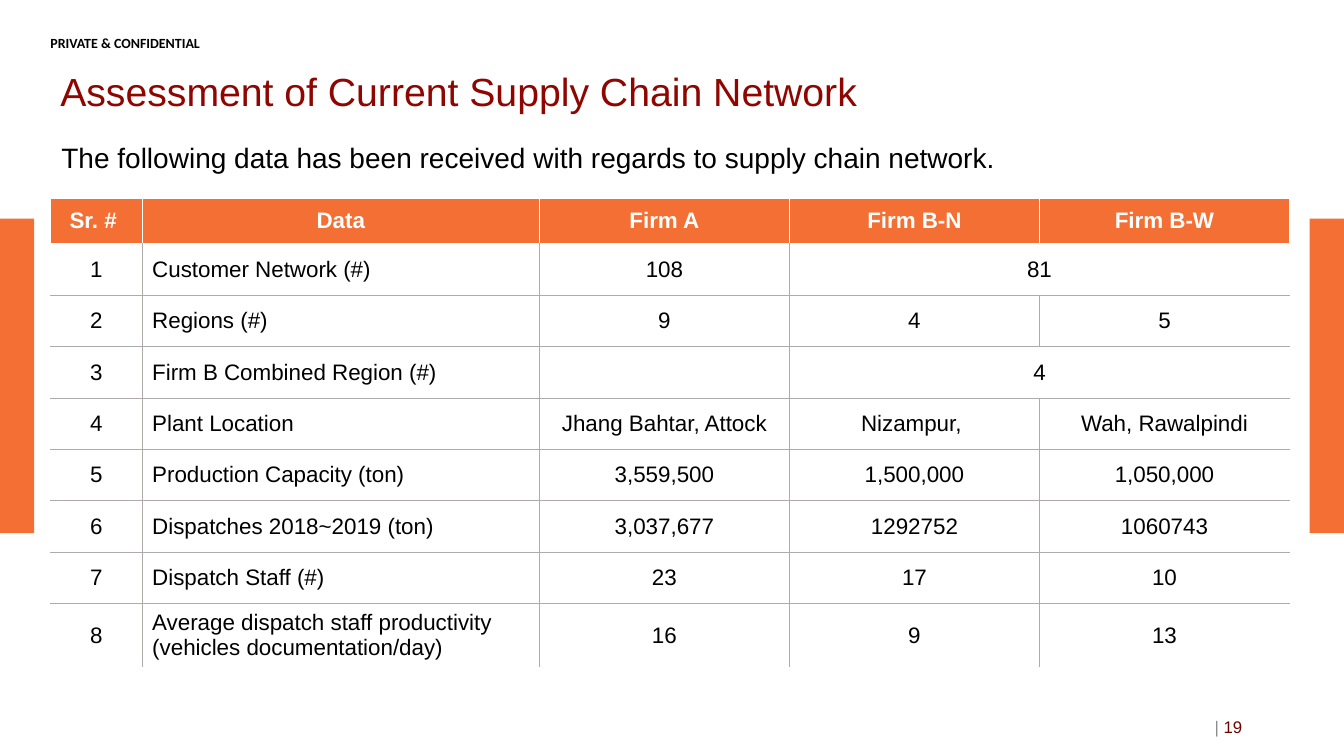
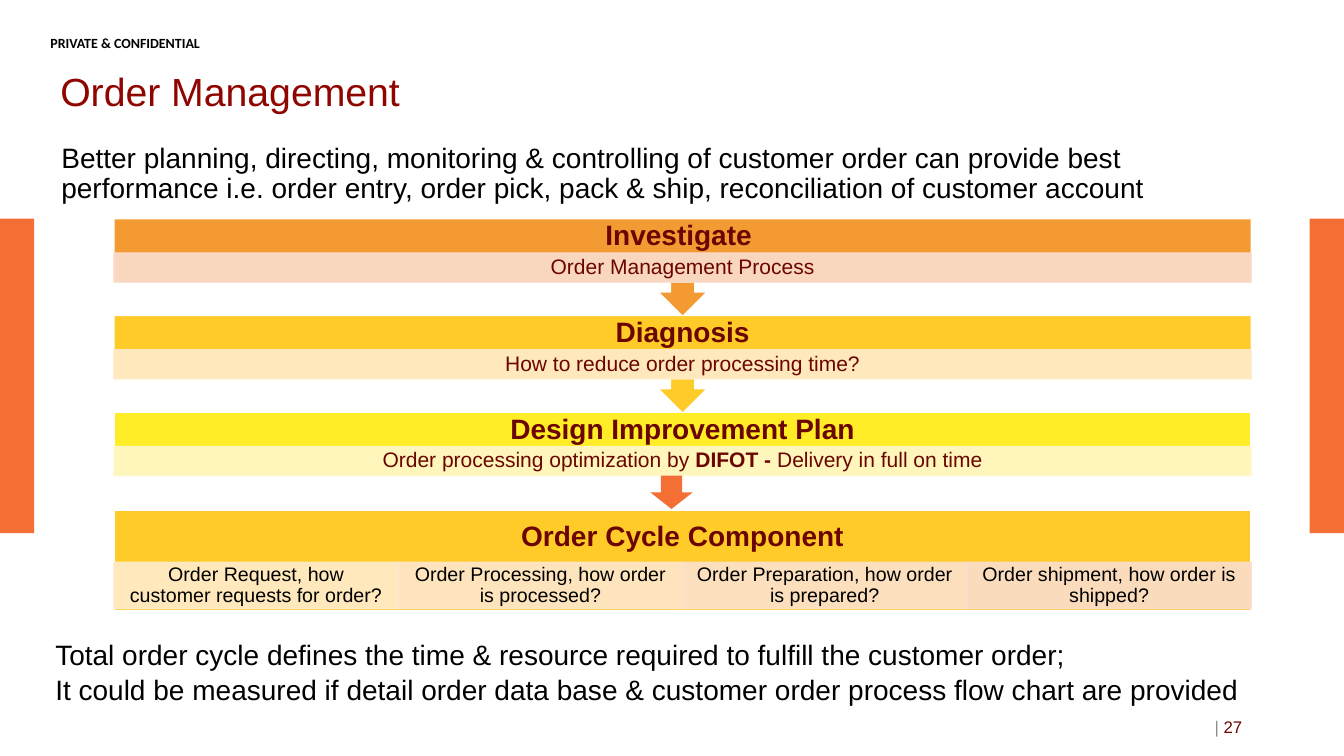
from lxml.etree import SubElement as sub
from pptx import Presentation
from pptx.dml.color import RGBColor
from pptx.enum.shapes import MSO_SHAPE as Shape
from pptx.enum.text import MSO_ANCHOR as Anchor, PP_ALIGN as Align
from pptx.oxml.ns import qn
from pptx.util import Inches, Pt

# Shared look
WIDTH, HEIGHT = 13.33, 7.5
ORANGE, TITLE_RED, DEEP_RED = "F46F33", "8F0500", "6A0500"
BLACK, WHITE, GREY, PAGE_GREY = "000000", "FFFFFF", "AFABAB", "8C8C8C"
PEACH, CREAM = "FADECE", "FFECCD"
GOLD = "FFCB28"
LEFT = 0.5


def rgb(value):
    return RGBColor.from_string(value)


def style_runs(paragraph, runs, size, color, bold=False, font="Arial"):
    """Each run is a text, or a (text, overrides) pair."""
    for item in runs:
        words, extra = (item, {}) if isinstance(item, str) else item
        run = paragraph.add_run()
        run.text = words
        run.font.name = font
        run.font.size = Pt(size)
        run.font.bold = extra.get("bold", bold)
        run.font.color.rgb = rgb(extra.get("color", color))


def write(frame, lines, size, color, bold=False, font="Arial", align=Align.LEFT,
          anchor=Anchor.TOP, spacing=1.0, margins=(0.1, 0.05, 0.1, 0.05), wrap=True):
    """Fill a text frame; each line is a list of runs."""
    frame.word_wrap = wrap
    frame.vertical_anchor = anchor
    (frame.margin_left, frame.margin_top,
     frame.margin_right, frame.margin_bottom) = map(Inches, margins)
    for number, runs in enumerate(lines):
        paragraph = frame.add_paragraph() if number else frame.paragraphs[0]
        paragraph.alignment = align
        paragraph.line_spacing = spacing
        style_runs(paragraph, runs, size, color, bold, font)


def add_text(slide, box, lines, size, color, **options):
    frame = slide.shapes.add_textbox(*map(Inches, box)).text_frame
    write(frame, lines, size, color, **options)


def add_block(slide, kind, box, fill, line=None, opacity=None):
    block = slide.shapes.add_shape(kind, *map(Inches, box))
    block.shadow.inherit = False
    block.fill.solid()
    block.fill.fore_color.rgb = rgb(fill)
    if line:
        block.line.color.rgb = rgb(line)
        block.line.width = Pt(1)
    else:
        block.line.fill.background()
    if opacity:
        for paint in block._element.spPr.iter(qn("a:srgbClr")):
            sub(paint, qn("a:alpha"), val=str(opacity * 1000))
    return block


# Frame of every slide: side bands, marking, title, lead and page number
def add_page(deck, title, lead, number):
    slide = deck.slides.add_slide(deck.slide_layouts[6])
    band_w = 0.34
    for left in (0, WIDTH - band_w):
        add_block(slide, Shape.RECTANGLE, (left, 2.17, band_w, 3.12), ORANGE)
    add_text(slide, (LEFT, 0.34, 2.53, 0.12), [["PRIVATE & CONFIDENTIAL"]], 10, BLACK,
             bold=True, font="Calibri", margins=(0, 0, 0, 0))
    add_text(slide, (LEFT, 0.58, 10.87, 0.71), [[title]], 28, TITLE_RED,
             anchor=Anchor.MIDDLE, spacing=0.9)
    add_text(slide, (LEFT + 0.01, 1.38, 12.31, 0.79), [[lead]], 20, BLACK, spacing=0.9)
    add_text(slide, (9.42, 7.01, 3, 0.4), [["| ", (str(number), {"color": DEEP_RED})]],
             12, PAGE_GREY, align=Align.RIGHT, anchor=Anchor.MIDDLE)
    return slide


# Network table
NETWORK = [
    ["Sr. # ", "Data", "Firm A", "Firm B-N", "Firm B-W"],
    ["1", "Customer Network (#)", "108", "81", None],
    ["2", "Regions (#)", "9", "4", "5"],
    ["3", "Firm B Combined Region (#)", "", "4", None],
    ["4", "Plant Location", "Jhang Bahtar, Attock", "Nizampur, ", "Wah, Rawalpindi"],
    ["5", "Production Capacity (ton)", "3,559,500", "1,500,000", "1,050,000"],
    ["6", "Dispatches 2018~2019 (ton)", "3,037,677", "1292752", "1060743"],
    ["7", "Dispatch Staff (#)", "23", "17", "10"],
    ["8", "Average dispatch staff productivity (vehicles documentation/day)",
     "16", "9", "13"],
]


def set_borders(cell, sides):
    """sides maps L, R, T and B, in that order, to a colour."""
    props = cell._tc.get_or_add_tcPr()
    for side, color in sides.items():
        edge = sub(props, qn("a:ln" + side), w=str(Pt(1)))
        sub(sub(edge, qn("a:solidFill")), qn("a:srgbClr"), val=color)


def add_network_table(slide, box, rows):
    last_row, last_col = len(rows) - 1, len(rows[0]) - 1
    table = slide.shapes.add_table(len(rows), len(rows[0]), *map(Inches, box)).table
    table.first_row = table.horz_banding = False
    for column, width in zip(table.columns, (0.91, 3.94, 2.48, 2.48, 2.48)):
        column.width = Inches(width)
    for r, row in enumerate(rows):
        table.rows[r].height = Inches({0: 0.45, last_row: 0.59}.get(r, 0.51))
        merged = row[-1] is None
        if merged:
            table.cell(r, last_col - 1).merge(table.cell(r, last_col))
        for c, words in enumerate(row):
            if words is None:
                continue
            cell = table.cell(r, c)
            header = r == 0
            ink = WHITE if header else GREY
            ends_row = c == last_col or merged and c == last_col - 1
            # Inner rules only: the outer edge stays open
            sides = {"L": ink if c else WHITE,
                     "R": WHITE if ends_row else ink,
                     "T": GREY if r > 1 else WHITE,
                     "B": WHITE if r in (0, last_row) else GREY}
            set_borders(cell, sides)
            if header:
                cell.fill.solid()
                cell.fill.fore_color.rgb = rgb(ORANGE)
            else:
                cell.fill.background()
            cell.vertical_anchor = Anchor.MIDDLE
            paragraph = cell.text_frame.paragraphs[0]
            paragraph.alignment = Align.LEFT if c == 1 and not header else Align.CENTER
            if words:
                style_runs(paragraph, [words], 16, WHITE if header else BLACK, header)


# One process stage: coloured block, heading and a row of details
def add_stage(slide, kind, box, heading, fill, head_h, detail_h, details, size, color):
    left, top, width, _ = box
    block = add_block(slide, kind, box, fill, WHITE)
    write(block.text_frame, [[heading]], 20, DEEP_RED, bold=True, align=Align.CENTER,
          spacing=0.9, margins=(0.16, head_h / 2 - 0.14, 0.16, 0))
    part_w = width / len(details)
    for i, (runs, tint) in enumerate(details):
        part = add_block(slide, Shape.RECTANGLE,
                         (left + i * part_w, top + head_h, part_w, detail_h),
                         tint, tint, opacity=90)
        write(part.text_frame, [runs], size, color, align=Align.CENTER,
              anchor=Anchor.MIDDLE, spacing=0.9, margins=(0.11, 0.02, 0.11, 0.02))


STAGES = [
    ("Investigate ", "F39A33", ["Order Management Process"], PEACH),
    ("Diagnosis", GOLD, ["How to reduce order processing time?"], CREAM),
    ("Design Improvement Plan", "FFED28",
     ["Order processing optimization by ", ("DIFOT - ", {"bold": True}),
      "Delivery in full on time"], "FFF8CD"),
]
CYCLE = [
    (["Order Request, how customer requests for order?"], CREAM),
    (["Order Processing, how order is processed?"], "FEE7CD"),
    (["Order Preparation, how order is prepared?"], "FCE2CD"),
    (["Order shipment, how order is shipped?"], PEACH),
]


def add_order_flow(slide, box):
    left, top, width, height = box
    cycle_h, pitch = 1.0, 0.96
    # Only the last stage has no arrow of its own
    for i, (heading, fill, detail, tint) in enumerate(STAGES):
        last = i == len(STAGES) - 1
        kind = Shape.RECTANGLE if last else Shape.DOWN_ARROW_CALLOUT
        stage_h = 0.63 if last else pitch + 0.01
        add_stage(slide, kind, (left, top + i * pitch, width, stage_h), heading, fill,
                  0.34, 0.29, [(detail, tint)], 15, DEEP_RED)
    cycle_top = top + height - cycle_h
    add_block(slide, Shape.DOWN_ARROW, (left + 5.32, cycle_top - 0.34, 0.42, 0.33), ORANGE)
    add_stage(slide, Shape.RECTANGLE, (left, cycle_top, width, cycle_h),
              "Order Cycle Component", GOLD, 0.52, 0.46, CYCLE, 14, BLACK)


def main():
    deck = Presentation()
    deck.slide_width, deck.slide_height = Inches(WIDTH), Inches(HEIGHT)

    network = add_page(
        deck, "Assessment of Current Supply Chain Network",
        "The following data has been received with regards to supply chain network.", 19)
    add_network_table(network, (LEFT, 1.97, 12.3, 4.66), NETWORK)

    orders = add_page(
        deck, "Order Management",
        "Better planning, directing, monitoring & controlling of customer order can provide "
        "best performance i.e. order entry, order pick, pack & ship, reconciliation of "
        "customer account", 27)
    add_order_flow(orders, (1.13, 2.17, 11.28, 3.89))
    add_text(orders, (0.45, 6.26, 12.23, 0.77), [
        ["Total order cycle defines the time & resource required to fulfill the customer order;"],
        ["It could be measured if detail order data base & customer order process flow chart "
         "are provided"],
    ], 20, BLACK, spacing=1.05, wrap=False)

    deck.save("out.pptx")


if __name__ == "__main__":
    main()
